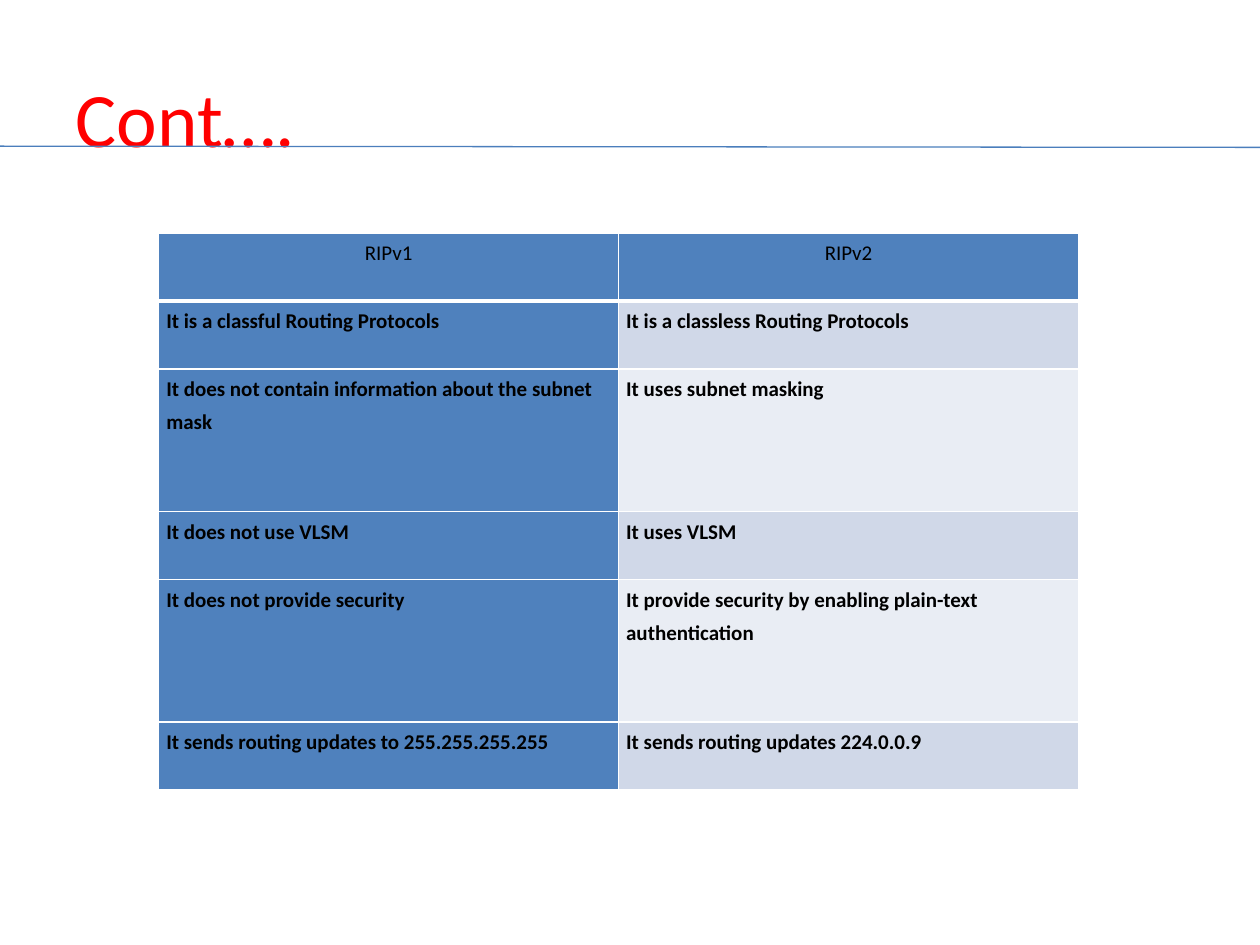
from lxml import etree
from pptx import Presentation
from pptx.dml.color import RGBColor
from pptx.enum.shapes import MSO_CONNECTOR
from pptx.enum.text import MSO_ANCHOR, PP_ALIGN
from pptx.oxml.ns import qn
from pptx.util import Inches, Pt

STRAIGHT = MSO_CONNECTOR.STRAIGHT
MIDDLE, TOP = MSO_ANCHOR.MIDDLE, MSO_ANCHOR.TOP
LEFT, CENTER = PP_ALIGN.LEFT, PP_ALIGN.CENTER

RED = RGBColor(0xFF, 0x00, 0x00)
BLACK = RGBColor(0x00, 0x00, 0x00)
WHITE = RGBColor(0xFF, 0xFF, 0xFF)
BLUE = RGBColor(0x4F, 0x81, 0xBD)
RULE_BLUE = RGBColor(0x4B, 0x7E, 0xBC)
BANDS = (RGBColor(0xD0, 0xD8, 0xE8), RGBColor(0xE9, 0xED, 0xF4))

FONT = "Calibri"
SLIDE_WIDTH, SLIDE_HEIGHT = Inches(10), Inches(7.5)
COLUMN_WIDTH = Inches(3.65)
SHORT_ROW, TALL_ROW = Inches(0.54), Inches(1.13)
TALL_ROWS = (2, 4)

COMPARISON = (
    ("RIPv1", "RIPv2"),
    ("It is a classful Routing Protocols", "It is a classless Routing Protocols"),
    ("It does not contain information about the subnet mask", "It uses subnet masking"),
    ("It does not use VLSM", "It uses VLSM"),
    ("It does not provide security",
     "It provide security by enabling plain-text authentication"),
    ("It sends routing updates to 255.255.255.255", "It sends routing updates 224.0.0.9"),
)


def write_text(text_frame, text, size=12, color=BLACK, bold=False, align=LEFT, spacing=1.0):
    paragraph = text_frame.paragraphs[0]
    paragraph.alignment = align
    paragraph.line_spacing = spacing
    run = paragraph.add_run()
    run.text = text
    run.font.name = FONT
    run.font.size = Pt(size)
    run.font.bold = bold
    run.font.color.rgb = color


def add_title(slide, text):
    title = slide.shapes.title
    title.left, title.top = Inches(0.5), Inches(0.3)
    title.width, title.height = Inches(9), Inches(1.25)
    title.text_frame.vertical_anchor = MIDDLE
    write_text(title.text_frame, text, size=44, color=RED)


def set_borders(cell, bottom_width):
    properties = cell._tc.get_or_add_tcPr()
    for side, width in (("L", 1), ("R", 1), ("T", 1), ("B", bottom_width)):
        line = etree.SubElement(properties, qn(f"a:ln{side}"), w=str(Pt(width)))
        fill = etree.SubElement(line, qn("a:solidFill"))
        etree.SubElement(fill, qn("a:srgbClr"), val=str(WHITE))


def format_cell(cell, text, row, column):
    is_header = row == 0
    cell.margin_left = cell.margin_right = Inches(0.06)
    cell.margin_top = cell.margin_bottom = 0
    cell.vertical_anchor = TOP
    set_borders(cell, 3 if is_header else 1)
    cell.fill.solid()
    cell.fill.fore_color.rgb = BLUE if is_header or column == 0 else BANDS[(row - 1) % 2]
    write_text(cell.text_frame, text, bold=not is_header,
               align=CENTER if is_header else LEFT, spacing=1.3)


def add_comparison_table(slide, rows):
    heights = [TALL_ROW if index in TALL_ROWS else SHORT_ROW for index in range(len(rows))]
    column_count = len(rows[0])
    table = slide.shapes.add_table(len(rows), column_count, Inches(1.26), Inches(1.85),
                                   COLUMN_WIDTH * column_count, sum(heights)).table
    for column in table.columns:
        column.width = COLUMN_WIDTH
    for row, texts in enumerate(rows):
        table.rows[row].height = heights[row]
        for column, text in enumerate(texts):
            format_cell(table.cell(row, column), text, row, column)


def add_rule(slide):
    rule = slide.shapes.add_connector(STRAIGHT, 0, Inches(1.16), SLIDE_WIDTH, Inches(1.17))
    rule.line.color.rgb = RULE_BLUE
    rule.line.width = Pt(0.75)
    etree.SubElement(rule._element.spPr, qn("a:effectLst"))


def main():
    presentation = Presentation()
    presentation.slide_width, presentation.slide_height = SLIDE_WIDTH, SLIDE_HEIGHT
    slide = presentation.slides.add_slide(presentation.slide_layouts[5])
    add_title(slide, "Cont….")
    add_comparison_table(slide, COMPARISON)
    add_rule(slide)
    presentation.save("out.pptx")


if __name__ == "__main__":
    main()
